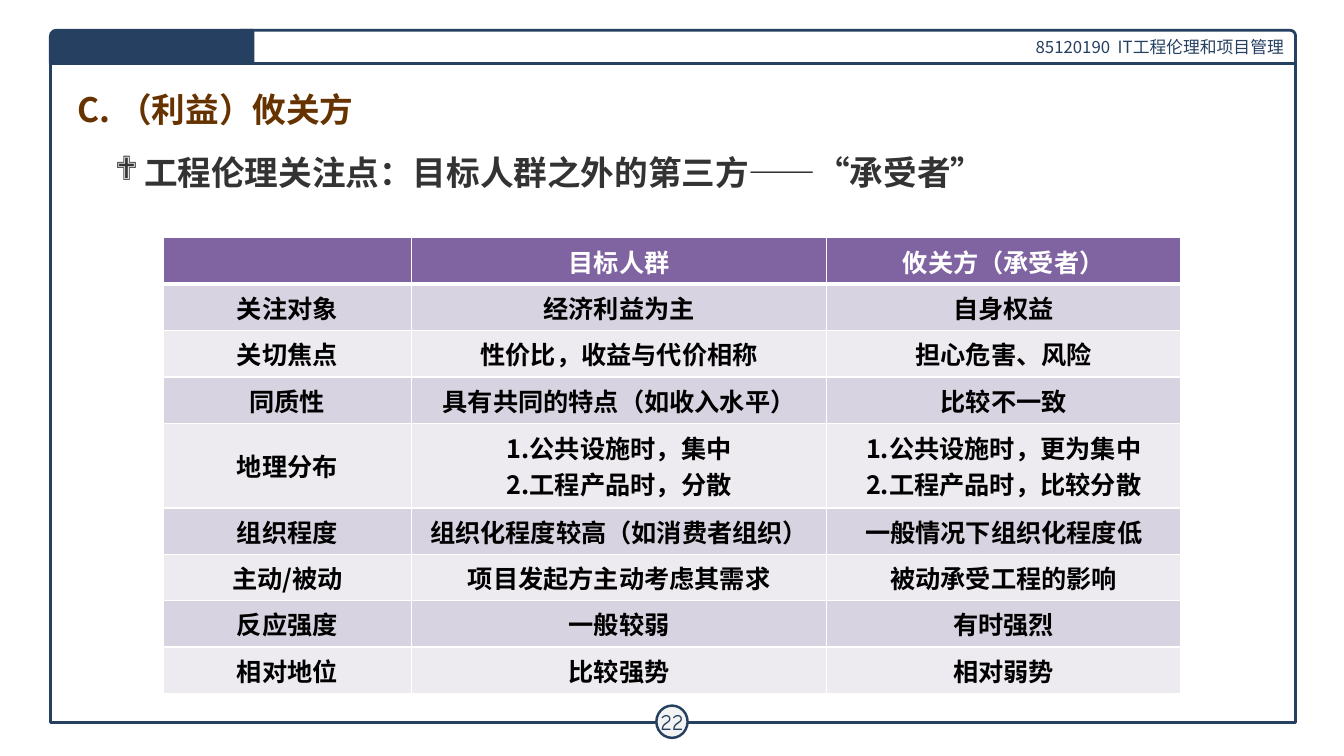
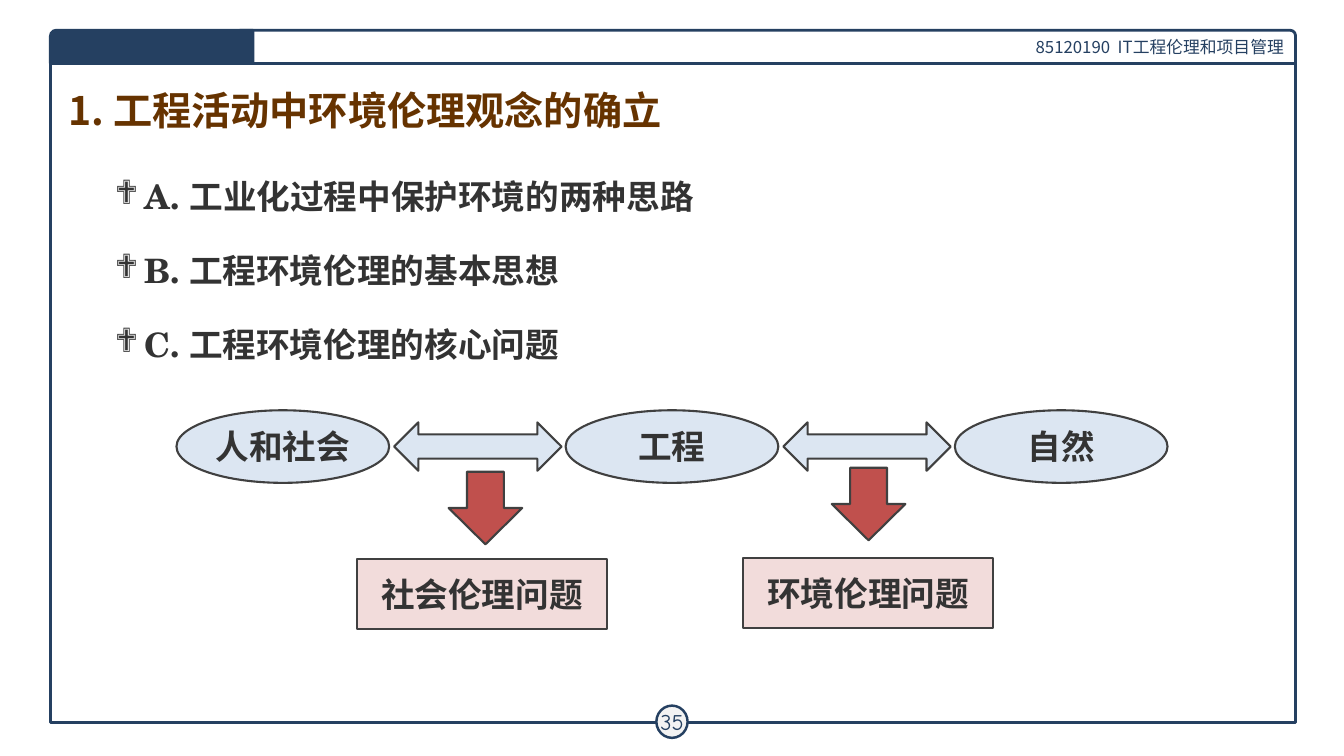
from dataclasses import dataclass

import pptx
import pptx.util
from lxml import etree
from pptx.dml.color import RGBColor
from pptx.enum.shapes import MSO_SHAPE
from pptx.enum.text import MSO_ANCHOR, MSO_AUTO_SIZE, PP_ALIGN
from pptx.oxml.ns import qn
from pptx.util import Inches


@dataclass(frozen=True)
class Theme:
    navy: str = "254061"
    white: str = "FFFFFF"
    black: str = "000000"
    badge: str = "F3F3F3"
    title: str = "663300"
    text: str = "333333"
    outline: str = "404040"
    pale_blue: str = "DCE6F2"
    pale_red: str = "F2DCDB"
    red: str = "C0504D"
    table_header: str = "8064A2"
    table_bands: tuple[str, str] = ("D8D3E0", "EDEAF0")
    sans: str = "Noto Sans CJK SC"
    serif: str = "TeX Gyre Schola"
    number: str = "Comic Neue"
    bullet: str = "Wingdings"
    running_size: int = 12
    number_size: int = 16
    table_size: int = 18
    body_size: int = 24
    large_title_size: int = 28


THEME = Theme()


@dataclass(frozen=True)
class Box:
    left: float
    top: float
    width: float
    height: float

    def lengths(self) -> tuple[int, int, int, int]:
        return (Inches(self.left), Inches(self.top),
                Inches(self.width), Inches(self.height))


@dataclass(frozen=True)
class TextStyle:
    size: int
    color: str
    latin: str
    east_asian: str
    bold: bool = True
    align: PP_ALIGN = PP_ALIGN.LEFT


@dataclass(frozen=True)
class Node:
    preset: MSO_SHAPE
    box: Box
    fill: str
    label: str = ""


RUNNING = TextStyle(THEME.running_size, THEME.navy, THEME.sans, THEME.sans,
                    False, PP_ALIGN.RIGHT)
NUMBER = TextStyle(THEME.number_size, THEME.navy, THEME.number, THEME.number,
                   False, PP_ALIGN.CENTER)
BODY = TextStyle(THEME.body_size, THEME.text, THEME.serif, THEME.serif)
FOCUS = TextStyle(THEME.body_size, THEME.text, THEME.sans, THEME.sans)
LABEL = TextStyle(THEME.body_size, THEME.text, THEME.serif, THEME.serif,
                  align=PP_ALIGN.CENTER)
HEADER_CELL = TextStyle(THEME.table_size, THEME.white, THEME.sans, THEME.sans,
                        align=PP_ALIGN.CENTER)
BODY_CELL = TextStyle(THEME.table_size, THEME.black, THEME.sans, THEME.sans,
                      align=PP_ALIGN.CENTER)

TABLE_ROWS = (
    ("", "目标人群", "攸关方（承受者）"),
    ("关注对象", "经济利益为主", "自身权益"),
    ("关切焦点", "性价比，收益与代价相称", "担心危害、风险"),
    ("同质性", "具有共同的特点（如收入水平）", "比较不一致"),
    ("地理分布", "1.公共设施时，集中\n2.工程产品时，分散",
     "1.公共设施时，更为集中\n2.工程产品时，比较分散"),
    ("组织程度", "组织化程度较高（如消费者组织）", "一般情况下组织化程度低"),
    ("主动/被动", "项目发起方主动考虑其需求", "被动承受工程的影响"),
    ("反应强度", "一般较弱", "有时强烈"),
    ("相对地位", "比较强势", "相对弱势"),
)


def style_paragraph(paragraph, style: TextStyle) -> None:
    paragraph.alignment = style.align
    font = paragraph.font
    font.size = pptx.util.Pt(style.size)
    font.bold = style.bold
    font.color.rgb = RGBColor.from_string(style.color)
    font.name = style.latin
    latin = font._element.find(qn("a:latin"))
    east_asian = etree.Element(qn("a:ea"), typeface=style.east_asian)
    latin.addnext(east_asian)


def write_text(frame, text: str, style: TextStyle) -> None:
    frame.text = text
    for paragraph in frame.paragraphs:
        style_paragraph(paragraph, style)


def add_outlined(slide, preset: MSO_SHAPE, box: Box, fill: str | None,
                 line: str, weight: float):
    shape = slide.shapes.add_shape(preset, *box.lengths())
    shape.shadow.inherit = False
    if fill is None:
        shape.fill.background()
    else:
        shape.fill.solid()
        shape.fill.fore_color.rgb = RGBColor.from_string(fill)
    shape.line.color.rgb = RGBColor.from_string(line)
    shape.line.width = pptx.util.Pt(weight)
    return shape


def add_frame(slide, number: int) -> None:
    """Draw the border, running header, page badge and corner tab."""
    navy = THEME.navy
    add_outlined(slide, MSO_SHAPE.RECTANGLE, Box(0.5, 0.5, 12.35, 6.67), None, navy, 2)
    header = add_outlined(slide, MSO_SHAPE.ROUND_1_RECTANGLE,
                          Box(2.38, 0.3, 10.47, 0.33), THEME.white, navy, 2)
    header.text_frame.vertical_anchor = MSO_ANCHOR.MIDDLE
    write_text(header.text_frame, "85120190  IT工程伦理和项目管理", RUNNING)

    badge = add_outlined(slide, MSO_SHAPE.OVAL, Box(6.51, 7, 0.31, 0.32),
                         THEME.badge, navy, 1.75)
    set_label(badge, str(number), NUMBER)

    tab = add_outlined(slide, MSO_SHAPE.ROUND_1_RECTANGLE,
                       Box(0.5, 0.3, 2.01, 0.33), navy, navy, 2)
    tab.adjustments[0] = 0.175
    tab._element.spPr.get_or_add_xfrm().set("flipH", "1")


def set_label(shape, text: str, style: TextStyle) -> None:
    """Centre one unwrapped line in a shape."""
    frame = shape.text_frame
    frame.margin_left = frame.margin_right = Inches(0.04)
    frame.margin_top = frame.margin_bottom = Inches(0.04)
    frame.word_wrap = False
    frame.vertical_anchor = MSO_ANCHOR.MIDDLE
    write_text(frame, text, style)


def add_titled_slide(presentation, number: int, title: str, box: Box, size: int):
    slide = presentation.slides.add_slide(presentation.slide_layouts[5])
    add_frame(slide, number)
    shape = slide.shapes.title
    shape.left, shape.top, shape.width, shape.height = box.lengths()
    frame = shape.text_frame
    frame.auto_size = MSO_AUTO_SIZE.NONE
    frame.word_wrap = True
    frame.vertical_anchor = MSO_ANCHOR.MIDDLE
    write_text(frame, title, TextStyle(size, THEME.title, THEME.sans, THEME.serif))
    return slide


def add_bullets(slide, box: Box, lines: tuple[str, ...], style: TextStyle) -> None:
    frame = slide.shapes.add_textbox(*box.lengths()).text_frame
    frame.word_wrap = True
    frame.text = "\n".join(lines)
    for index, paragraph in enumerate(frame.paragraphs):
        paragraph.line_spacing = 1.5
        paragraph.space_before = pptx.util.Pt(7.2 if index else 0)
        paragraph.space_after = pptx.util.Pt(2.4)
        properties = paragraph._p.get_or_add_pPr()
        properties.set("marL", str(Inches(0.29)))
        properties.set("indent", str(-Inches(0.29)))
        etree.SubElement(properties, qn("a:buFont"), typeface=THEME.bullet)
        etree.SubElement(properties, qn("a:buChar"), char="❖")
        style_paragraph(paragraph, style)


def set_borders(cell, bottom: float, top: float) -> None:
    properties = cell._tc.get_or_add_tcPr()
    for side, weight in (("L", 1), ("R", 1), ("T", top), ("B", bottom)):
        line = etree.SubElement(properties, qn(f"a:ln{side}"),
                                w=str(pptx.util.Pt(weight)))
        fill = etree.SubElement(line, qn("a:solidFill"))
        etree.SubElement(fill, qn("a:srgbClr"), val=THEME.white)


def add_comparison_table(slide) -> None:
    widths = (2.46, 4.12, 3.51)
    heights = [0.84 if any("\n" in text for text in texts) else 0.46
               for texts in TABLE_ROWS]
    box = Box(1.62, 2.36, sum(widths), sum(heights))
    table = slide.shapes.add_table(len(TABLE_ROWS), len(widths), *box.lengths()).table
    for column, width in zip(table.columns, widths):
        column.width = Inches(width)
    for row_index, texts in enumerate(TABLE_ROWS):
        is_header = row_index == 0
        table.rows[row_index].height = Inches(heights[row_index])
        color = THEME.table_header if is_header else THEME.table_bands[(row_index - 1) % 2]
        for column_index, text in enumerate(texts):
            cell = table.cell(row_index, column_index)
            set_borders(cell, bottom=3 if is_header else 1, top=3 if row_index == 1 else 1)
            cell.fill.solid()
            cell.fill.fore_color.rgb = RGBColor.from_string(color)
            cell.vertical_anchor = MSO_ANCHOR.MIDDLE
            write_text(cell.text_frame, text, HEADER_CELL if is_header else BODY_CELL)


def add_relationship_diagram(slide) -> None:
    pitch = 3.86
    nodes = [Node(MSO_SHAPE.OVAL, Box(1.75 + pitch * index, 4.07, 2.11, 0.72),
                  THEME.pale_blue, label)
             for index, label in enumerate(("人和社会", "工程", "自然"))]
    nodes += [Node(MSO_SHAPE.LEFT_RIGHT_ARROW, Box(3.91 + pitch * index, 4.19, 1.66, 0.48),
                   THEME.pale_blue)
              for index in range(2)]
    nodes += [
        Node(MSO_SHAPE.RECTANGLE, Box(3.54, 5.55, 2.48, 0.69), THEME.pale_red, "社会伦理问题"),
        Node(MSO_SHAPE.RECTANGLE, Box(7.37, 5.54, 2.48, 0.69), THEME.pale_red, "环境伦理问题"),
        Node(MSO_SHAPE.DOWN_ARROW, Box(4.45, 4.68, 0.73, 0.72), THEME.red),
        Node(MSO_SHAPE.DOWN_ARROW, Box(8.25, 4.64, 0.73, 0.72), THEME.red),
    ]
    for node in nodes:
        shape = add_outlined(slide, node.preset, node.box, node.fill, THEME.outline, 1.5)
        if node.label:
            set_label(shape, node.label, LABEL)


def main() -> None:
    presentation = pptx.Presentation()
    presentation.slide_width = Inches(13.33)
    presentation.slide_height = Inches(7.5)

    stakeholders = add_titled_slide(presentation, 22, "C. （利益）攸关方",
                                    Box(0.67, 0.84, 12, 0.48), THEME.body_size)
    add_bullets(stakeholders, Box(1.04, 1.26, 10.43, 0.8),
                ("工程伦理关注点：目标人群之外的第三方——“承受者”",), FOCUS)
    add_comparison_table(stakeholders)

    environment = add_titled_slide(presentation, 35, "1. 工程活动中环境伦理观念的确立",
                                   Box(0.58, 0.85, 12, 0.48), THEME.large_title_size)
    add_bullets(environment, Box(1.04, 1.5, 12, 2.4),
                ("A. 工业化过程中保护环境的两种思路",
                 "B. 工程环境伦理的基本思想",
                 "C. 工程环境伦理的核心问题"), BODY)
    add_relationship_diagram(environment)

    presentation.save("out.pptx")


if __name__ == "__main__":
    main()
